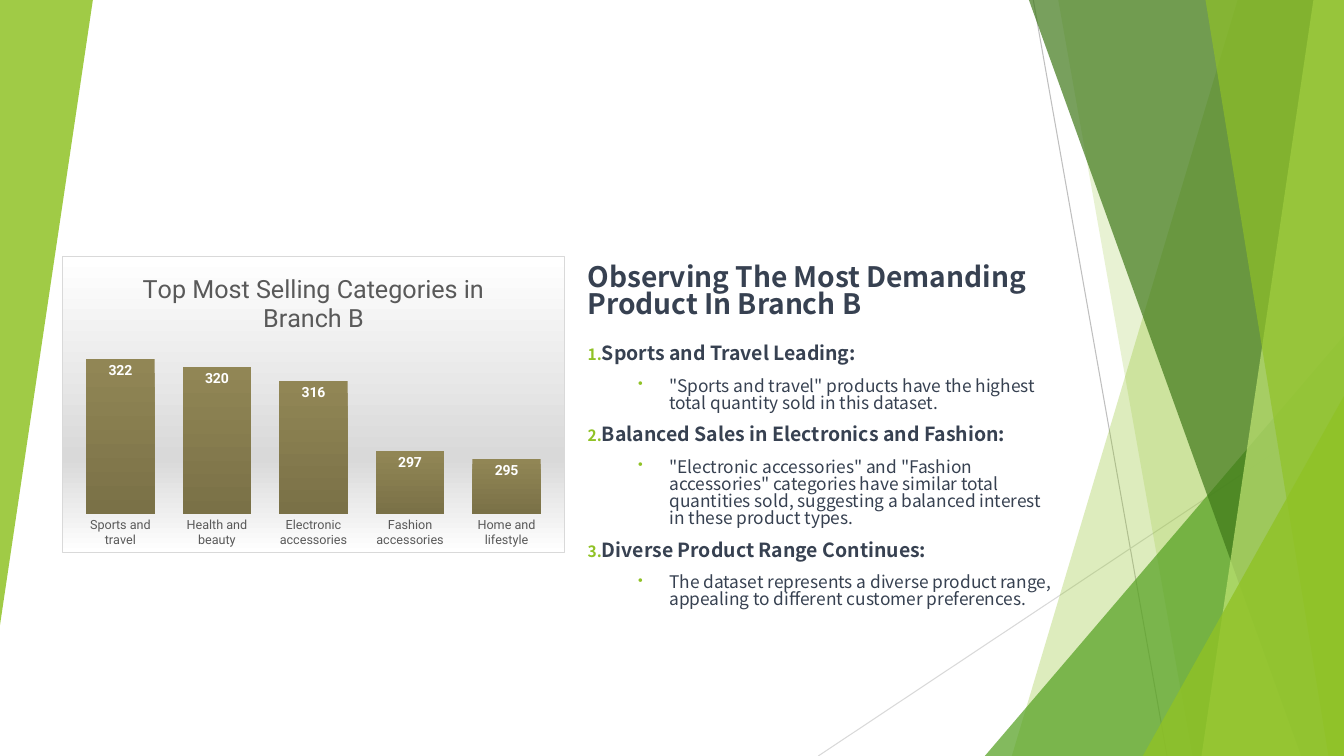
"""Build the slide on the best selling product categories in Branch B."""
from dataclasses import dataclass

from lxml import etree
from pptx import Presentation
from pptx.chart.data import CategoryChartData
from pptx.dml.color import RGBColor
from pptx.enum.chart import XL_CHART_TYPE, XL_LABEL_POSITION, XL_TICK_MARK
from pptx.enum.shapes import MSO_CONNECTOR, MSO_SHAPE
from pptx.enum.text import MSO_ANCHOR, MSO_AUTO_SIZE, PP_ALIGN
from pptx.oxml import parse_xml
from pptx.oxml.ns import nsdecls, qn
from pptx.util import Cm, Pt

COLUMNS = XL_CHART_TYPE.COLUMN_CLUSTERED
INSIDE_END = XL_LABEL_POSITION.INSIDE_END
NO_TICK = XL_TICK_MARK.NONE
STRAIGHT = MSO_CONNECTOR.STRAIGHT
TRIANGLE = MSO_SHAPE.ISOSCELES_TRIANGLE
TOP = MSO_ANCHOR.TOP
NO_FIT = MSO_AUTO_SIZE.NONE
LEFT = PP_ALIGN.LEFT

LIME = RGBColor(0x90, 0xC2, 0x26)
PALE_LIME = RGBColor(0xC0, 0xE4, 0x74)
GREEN = RGBColor(0x54, 0xA0, 0x21)
DARK_GREEN = RGBColor(0x3F, 0x78, 0x19)
SLATE = RGBColor(0x37, 0x41, 0x51)
GREY = RGBColor(0x59, 0x59, 0x59)
MID_GREY = RGBColor(0xBF, 0xBF, 0xBF)
LIGHT_GREY = RGBColor(0xD9, 0xD9, 0xD9)
WHITE = RGBColor(0xFF, 0xFF, 0xFF)
BLACK = RGBColor(0, 0, 0)
OLIVE = RGBColor(0x91, 0x86, 0x55)
DARK_OLIVE = RGBColor(0x7A, 0x71, 0x47)

TEXT_FONT = "Noto Sans CJK JP"
CHART_FONT = "Roboto"
WIDTH, HEIGHT = 33.87, 19.05
TEXT_LEFT, TEXT_WIDTH = 14.81, 11.75


@dataclass(frozen=True)
class Ray:
    """A thin line, in centimetres."""
    start: tuple[float, float]
    end: tuple[float, float]
    color: RGBColor


@dataclass(frozen=True)
class Band:
    """A full-height area from a slanted left edge to the slide's right edge."""
    top_x: float
    bottom_x: float
    color: RGBColor
    opacity: int


@dataclass(frozen=True)
class Wedge:
    """A right triangle, in centimetres."""
    left: float
    top: float
    width: float
    height: float
    color: RGBColor
    opacity: int
    rotation: int = 0


@dataclass(frozen=True)
class Finding:
    """A numbered heading with its explanation."""
    heading: str
    detail: str


RAYS = [
    Ray((26.04, 0), (29.41, HEIGHT), MID_GREY),
    Ray((WIDTH, 10.24), (20.62, HEIGHT), LIGHT_GREY),
]
FACETS = [
    Band(31.19, 25.5, LIME, 30),
    Band(26.67, 30.05, LIME, 20),
    Wedge(24.82, 8.46, 9.05, 10.59, GREEN, 72),
    Band(25.93, 32.79, DARK_GREEN, 70),
    Band(33.1, 30.28, PALE_LIME, 70),
    Band(30.38, 33.48, LIME, 65),
    Wedge(28.8, 9.98, 5.07, 9.07, LIME, 80),
    Wedge(0, 0, 2.34, 15.75, LIME, 85, 180),
]
FINDINGS = [
    Finding("Sports and Travel Leading:",
            '"Sports and travel" products have the highest total quantity sold in this dataset.'),
    Finding("Balanced Sales in Electronics and Fashion:",
            '"Electronic accessories" and "Fashion accessories" categories have similar total '
            "quantities sold, suggesting a balanced interest in these product types."),
    Finding("Diverse Product Range Continues:",
            "The dataset represents a diverse product range, appealing to different customer "
            "preferences."),
]
SALES = {"Sports and travel": 322, "Health and beauty": 320, "Electronic accessories": 316,
         "Fashion accessories": 297, "Home and lifestyle": 295}


def draw_ray(page, ray: Ray) -> None:
    """Draw one thin line without a shadow."""
    line = page.shapes.add_connector(STRAIGHT, *map(Cm, ray.start + ray.end))
    line.line.color.rgb = ray.color
    line.line.width = Pt(0.75)
    etree.SubElement(line._element.spPr, qn("a:effectLst"))


def draw_facet(page, facet: Band | Wedge) -> None:
    """Draw one translucent facet of the background."""
    if isinstance(facet, Band):
        outline = page.shapes.build_freeform(Cm(facet.top_x), 0)
        outline.add_line_segments([(Cm(WIDTH), 0), (Cm(WIDTH), Cm(HEIGHT)),
                                   (Cm(facet.bottom_x), Cm(HEIGHT))])
        shape = outline.convert_to_shape()
    else:
        shape = page.shapes.add_shape(TRIANGLE, Cm(facet.left), Cm(facet.top),
                                      Cm(facet.width), Cm(facet.height))
        shape.adjustments[0] = 1
        shape.rotation = facet.rotation
    shape.shadow.inherit = False
    shape.line.fill.background()
    shape.fill.solid()
    shape.fill.fore_color.rgb = facet.color
    color = shape._element.spPr.find(f"{qn('a:solidFill')}/{qn('a:srgbClr')}")
    etree.SubElement(color, qn("a:alpha"), val=str(facet.opacity * 1000))


def style_font(font, *, name: str, size: float, color: RGBColor, bold: bool = False) -> None:
    """Set the look of a font."""
    font.name, font.size, font.bold = name, Pt(size), bold
    font.color.rgb = color


def write(para, text: str, *, size: float, bold: bool = False, before: float = 0) -> None:
    """Write one left-aligned paragraph."""
    para.alignment = LEFT
    para.line_spacing = 0.82
    para.space_before = Pt(before)
    span = para.add_run()
    span.text = text
    style_font(span.font, name=TEXT_FONT, size=size, color=SLATE, bold=bold)


def mark(para, tag: str, *, margin: float = 0, indent: float = 0, **mark_format: str) -> None:
    """Give a paragraph a lime bullet or number."""
    properties = para._p.get_or_add_pPr()
    properties.set("marL", str(Cm(margin)))
    properties.set("indent", str(Cm(indent)))
    color = etree.SubElement(properties, qn("a:buClr"))
    etree.SubElement(color, qn("a:srgbClr"), val=str(LIME))
    etree.SubElement(properties, qn("a:buSzPct"), val="80000")
    etree.SubElement(properties, qn(tag), **mark_format)


def prepare_frame(box, top: float, height: float):
    """Place a text box in the right column and return its emptied frame."""
    box.left, box.top, box.width, box.height = map(Cm, (TEXT_LEFT, top, TEXT_WIDTH, height))
    frame = box.text_frame
    frame.word_wrap, frame.auto_size, frame.vertical_anchor = True, NO_FIT, TOP
    frame.margin_left = frame.margin_right = frame.margin_top = frame.margin_bottom = 0
    return frame


def add_findings(page) -> None:
    """Write the numbered findings under the title."""
    frame = prepare_frame(page.shapes.add_textbox(0, 0, 0, 0), 8.7, 7.8)
    for index, finding in enumerate(FINDINGS):
        para = frame.add_paragraph() if index else frame.paragraphs[0]
        write(para, finding.heading, size=13.9, bold=True, before=10 if index else 0)
        mark(para, "a:buAutoNum", type="arabicPeriod")
        para = frame.add_paragraph()
        para.level = 1
        write(para, finding.detail, size=12.4, before=10)
        mark(para, "a:buChar", margin=2.06, indent=-0.79, char="•")


def frame_chart(chart) -> None:
    """Give the chart its gradient area, border and plot position."""
    stops = "".join(f'<a:gs pos="{place * 1000}"><a:srgbClr val="{color}"/></a:gs>'
                    for place, color in ((0, WHITE), (68, LIGHT_GREY), (100, WHITE)))
    chart_part = chart._chartSpace.find(qn("c:chart"))
    chart_part.addnext(parse_xml(
        f'<c:spPr {nsdecls("c", "a")}><a:gradFill><a:gsLst>{stops}</a:gsLst>'
        f'<a:lin ang="5400000" scaled="0"/></a:gradFill><a:ln w="{Pt(0.75)}"><a:solidFill>'
        f'<a:srgbClr val="{LIGHT_GREY}"/></a:solidFill></a:ln></c:spPr>'))
    plot_area = chart_part.find(qn("c:plotArea"))
    for old in plot_area.findall(qn("c:layout")):
        plot_area.remove(old)
    sizes = "".join(f'<c:{key} val="{value}"/>' for key, value in
                    (("x", 0.02), ("y", 0.31), ("w", 0.96), ("h", 0.56)))
    plot_area.insert(0, parse_xml(
        f'<c:layout {nsdecls("c")}><c:manualLayout><c:layoutTarget val="inner"/>'
        f'<c:xMode val="edge"/><c:yMode val="edge"/>{sizes}</c:manualLayout></c:layout>'))


def add_sales_chart(page) -> None:
    """Add the column chart of units sold by category."""
    data = CategoryChartData()
    data.categories = list(SALES)
    data.add_series("Series 1", list(SALES.values()))
    chart = page.shapes.add_chart(COLUMNS, Cm(1.55), Cm(6.45), Cm(12.7), Cm(7.49), data).chart
    style_font(chart.font, name=CHART_FONT, size=10, color=BLACK)
    chart.has_legend = False
    title = chart.chart_title.text_frame
    title.text = "Top Most Selling Categories in Branch B"
    style_font(title.paragraphs[0].runs[0].font, name=CHART_FONT, size=18, color=GREY)
    values, categories = chart.value_axis, chart.category_axis
    values.minimum_scale, values.maximum_scale = 280, 325
    values.has_major_gridlines = values.visible = False
    categories.major_tick_mark = NO_TICK
    categories.format.line.fill.background()
    style_font(categories.tick_labels.font, name=CHART_FONT, size=9, color=GREY)
    plot = chart.plots[0]
    plot.gap_width, plot.vary_by_categories, plot.has_data_labels = 41, False, True
    labels = plot.data_labels
    labels.show_value, labels.position = True, INSIDE_END
    style_font(labels.font, name=CHART_FONT, size=10, color=WHITE, bold=True)
    fill = plot.series[0].format.fill
    fill.gradient()
    fill.gradient_angle = 270
    for stop, color in zip(fill.gradient_stops, (OLIVE, DARK_OLIVE)):
        stop.color.rgb = color
    frame_chart(chart)


def main() -> None:
    """Build and save the deck."""
    deck = Presentation()
    deck.slide_width, deck.slide_height = Cm(WIDTH), Cm(HEIGHT)
    page = deck.slides.add_slide(deck.slide_layouts[5])
    for ray in RAYS:
        draw_ray(page, ray)
    for facet in FACETS:
        draw_facet(page, facet)
    title = prepare_frame(page.shapes.title, 6.68, 1.7)
    write(title.paragraphs[0], "Observing The Most Demanding Product In Branch B",
          size=20.1, bold=True)
    add_findings(page)
    add_sales_chart(page)
    deck.save("out.pptx")


if __name__ == "__main__":
    main()
